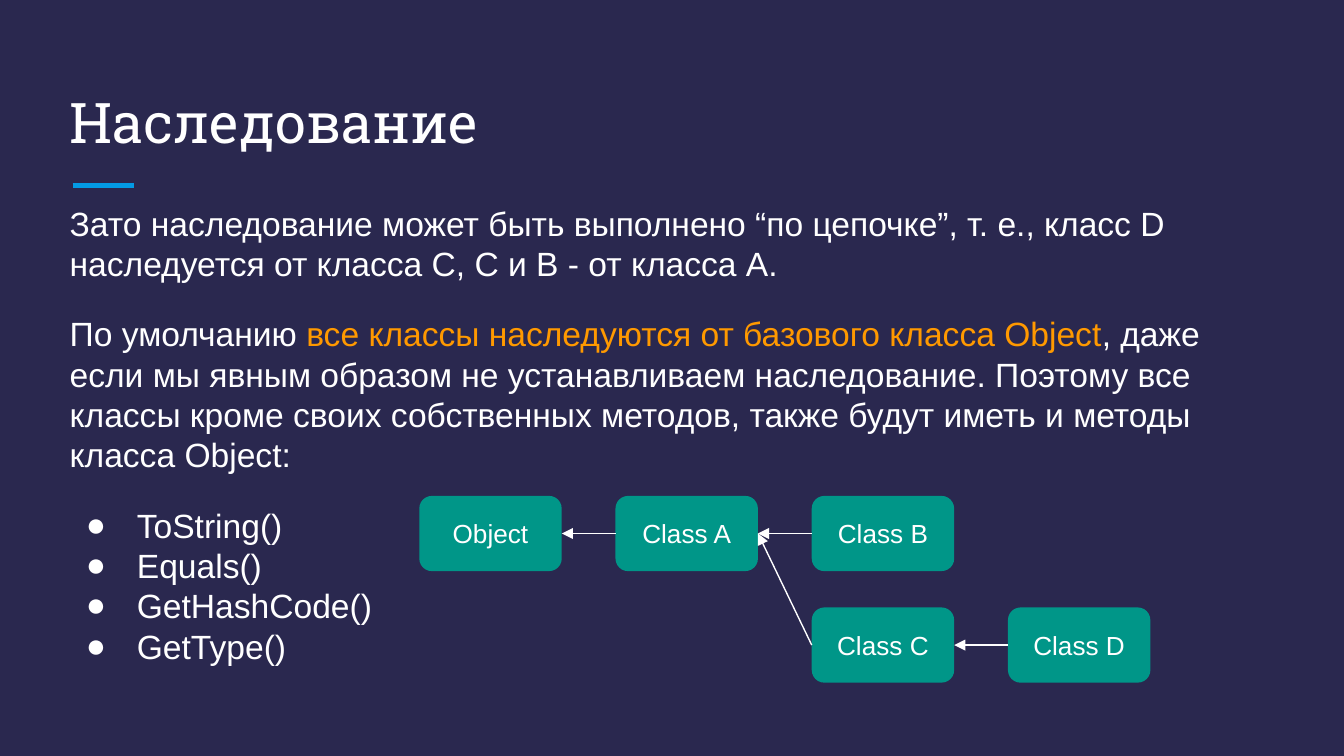
from lxml import etree
from pptx import Presentation
from pptx.dml.color import RGBColor
from pptx.enum.shapes import MSO_CONNECTOR, MSO_SHAPE
from pptx.enum.text import MSO_ANCHOR, PP_ALIGN
from pptx.oxml.ns import qn
from pptx.util import Inches, Pt

WHITE, ORANGE, TEAL, BLUE, NAVY = "FFFFFF", "FF9900", "009688", "039BE5", "2A284F"
TITLE_FORMAT = {"name": "Roboto Slab", "size": Pt(30)}
BODY_FORMAT = {"name": "Arial", "size": Pt(18)}
LABEL_FORMAT = {"name": "Arial", "size": Pt(14)}

PARAGRAPHS = [
    [("Зато наследование может быть выполнено “по цепочке”, т. е., класс D "
      "наследуется от класса C, C и B - от класса A.", WHITE)],
    [("По умолчанию ", WHITE),
     ("все классы наследуются от базового класса Object", ORANGE),
     (", даже если мы явным образом не устанавливаем наследование. Поэтому все "
      "классы кроме своих собственных методов, также будут иметь и методы "
      "класса Object:", WHITE)],
]
METHODS = ["ToString()", "Equals()", "GetHashCode()", "GetType()"]

# Class name: (column, row) in the diagram
CLASSES = {"Object": (0, 0), "Class A": (1, 0), "Class B": (2, 0),
           "Class C": (2, 1), "Class D": (3, 1)}
# Derived class, base class
INHERITANCE = [("Class A", "Object"), ("Class B", "Class A"),
               ("Class C", "Class A"), ("Class D", "Class C")]


def color(value):
    return RGBColor.from_string(value)


def add_run(paragraph, text, text_format, text_color=WHITE):
    run = paragraph.add_run()
    run.text = text
    for attribute, value in text_format.items():
        setattr(run.font, attribute, value)
    run.font.color.rgb = color(text_color)


def set_frame(text_frame, anchor):
    frame_format = {"word_wrap": True, "vertical_anchor": anchor}
    for side in ("left", "right", "top", "bottom"):
        frame_format[f"margin_{side}"] = Inches(0.1)
    for attribute, value in frame_format.items():
        setattr(text_frame, attribute, value)


def add_text_box(slide, left, top, width, height, anchor):
    shape = slide.shapes.add_textbox(
        Inches(left), Inches(top), Inches(width), Inches(height))
    set_frame(shape.text_frame, anchor)
    return shape.text_frame


def add_line(slide, start, end, line_color, width, arrow=False):
    points = [Inches(value) for value in (*start, *end)]
    connector = slide.shapes.add_connector(MSO_CONNECTOR.STRAIGHT, *points)
    connector.line.color.rgb = color(line_color)
    connector.line.width = Pt(width)
    if arrow:
        etree.SubElement(connector.line._get_or_add_ln(), qn("a:tailEnd"),
                         type="triangle")
    etree.SubElement(connector._element.spPr, qn("a:effectLst"))


def add_bullet(paragraph):
    properties = paragraph._p.get_or_add_pPr()
    properties.set("marL", str(Inches(0.5)))
    properties.set("indent", str(Inches(-0.38)))
    bullet_color = etree.SubElement(properties, qn("a:buClr"))
    etree.SubElement(bullet_color, qn("a:srgbClr"), val=WHITE)
    etree.SubElement(properties, qn("a:buFont"), typeface="Arial")
    etree.SubElement(properties, qn("a:buChar"), char="●")


def add_title(slide, left, top, width, height):
    text_frame = add_text_box(slide, left, top, width, height, MSO_ANCHOR.BOTTOM)
    add_run(text_frame.paragraphs[0], "Наследование", TITLE_FORMAT)
    # Accent rule under the title
    rule_left, rule_top = left + 0.12, top + height + 0.13
    add_line(slide, (rule_left, rule_top), (rule_left + 0.46, rule_top), BLUE, 3)


def add_body(slide, left, top, width, height):
    text_frame = add_text_box(slide, left, top, width, height, MSO_ANCHOR.TOP)
    contents = PARAGRAPHS + [[(method, WHITE)] for method in METHODS]
    for index, runs in enumerate(contents):
        paragraph = text_frame.paragraphs[0] if index == 0 else text_frame.add_paragraph()
        # Gaps separate the paragraphs and the start of the list
        if 0 < index <= len(PARAGRAPHS):
            paragraph.space_before = Pt(16)
        if index >= len(PARAGRAPHS):
            add_bullet(paragraph)
        for text, text_color in runs:
            add_run(paragraph, text, BODY_FORMAT, text_color)


def add_class_diagram(slide, left, top, width, height):
    box_width, box_height = 1.06, 0.56
    column_step = (width - box_width) / 3
    row_step = height - box_height
    corners = {name: (left + column * column_step, top + row * row_step)
               for name, (column, row) in CLASSES.items()}

    # Class boxes
    for name, (x, y) in corners.items():
        shape = slide.shapes.add_shape(
            MSO_SHAPE.ROUNDED_RECTANGLE, Inches(x), Inches(y),
            Inches(box_width), Inches(box_height))
        shape.shadow.inherit = False
        shape.fill.solid()
        shape.fill.fore_color.rgb = color(TEAL)
        shape.line.fill.background()
        set_frame(shape.text_frame, MSO_ANCHOR.MIDDLE)
        paragraph = shape.text_frame.paragraphs[0]
        paragraph.alignment = PP_ALIGN.CENTER
        add_run(paragraph, name, LABEL_FORMAT)

    # Arrows from derived class to base class
    for derived, base in INHERITANCE:
        start_x, start_y = corners[derived]
        end_x, end_y = corners[base]
        add_line(slide, (start_x, start_y + box_height / 2),
                 (end_x + box_width, end_y + box_height / 2), WHITE, 0.75, arrow=True)


def main():
    presentation = Presentation()
    # Widescreen, 16:9
    presentation.slide_width = Inches(10)
    presentation.slide_height = Inches(10) * 9 // 16
    slide = presentation.slides.add_slide(presentation.slide_layouts[6])
    slide.background.fill.solid()
    slide.background.fill.fore_color.rgb = color(NAVY)

    add_title(slide, 0.42, 0.5, 9.15, 0.75)
    add_body(slide, 0.42, 1.41, 9.15, 4.21)
    add_class_diagram(slide, 3.12, 3.69, 5.44, 1.39)
    presentation.save("out.pptx")


if __name__ == "__main__":
    main()
